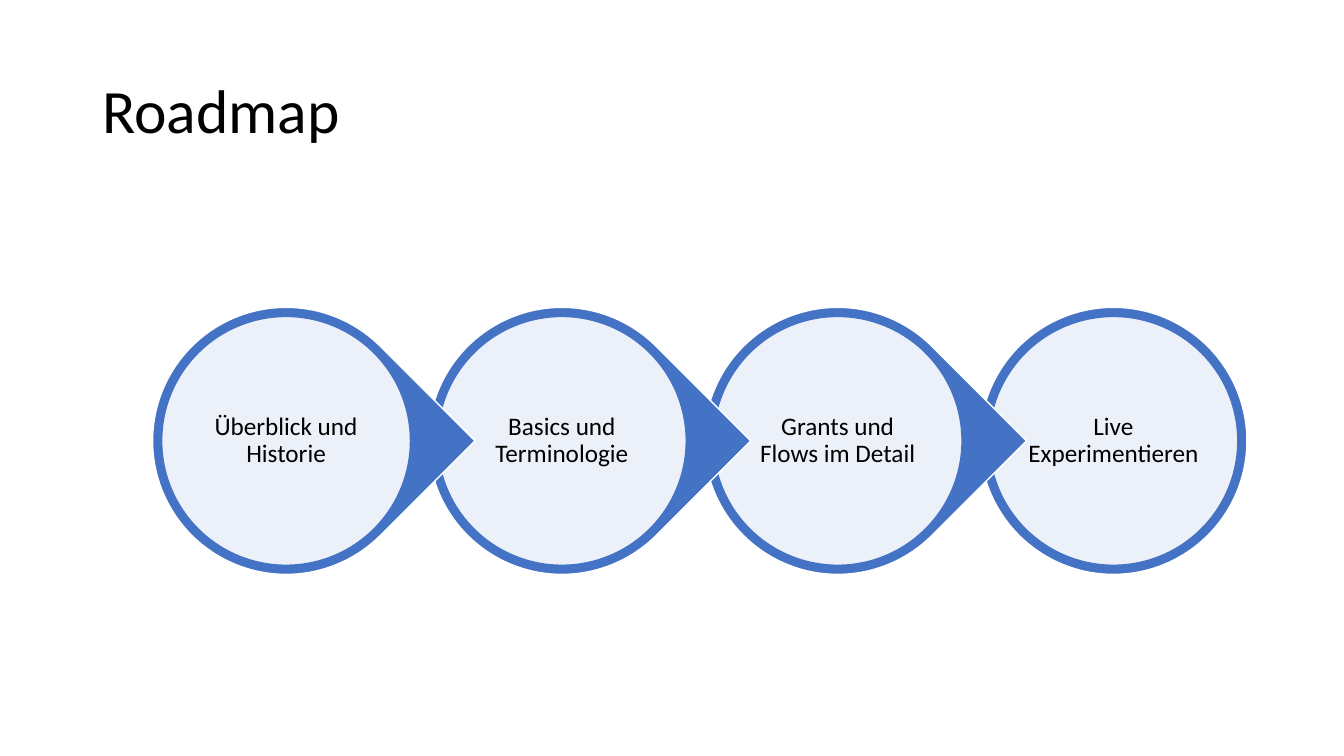
"""Build the Roadmap slide: four overlapping stages in a row."""
from lxml import etree
from pptx import Presentation
from pptx.dml.color import RGBColor
from pptx.enum.shapes import MSO_SHAPE
from pptx.enum.text import MSO_ANCHOR, PP_ALIGN
from pptx.oxml.ns import qn
from pptx.util import Cm, Pt

BLACK = RGBColor(0x00, 0x00, 0x00)
WHITE = RGBColor(0xFF, 0xFF, 0xFF)
BLUE = RGBColor(0x44, 0x72, 0xC4)

ELLIPSE = MSO_SHAPE.OVAL
TEARDROP = MSO_SHAPE.TEAR
MIDDLE = MSO_ANCHOR.MIDDLE
LEFT = PP_ALIGN.LEFT
CENTER = PP_ALIGN.CENTER

FONT = "Calibri"
STAGES = [
    "Überblick und Historie",
    "Basics und Terminologie",
    "Grants und Flows im Detail",
    "Live Experimentieren",
]
FIRST_CENTER = 7.21
STAGE_PITCH = 6.95
CENTER_Y = 11.11
RING_SIZE = 6.73
DISC_SIZE = 6.27
LABEL_SIZE = 4.49


def centered_square(center_x, size):
    """Return left, top, width and height of a square on the stage axis."""
    return Cm(center_x - size / 2), Cm(CENTER_Y - size / 2), Cm(size), Cm(size)


def add_outline(slide, kind, bounds, fill_color, line_color):
    """Add a filled preset shape with a thin line and no shadow."""
    outline = slide.shapes.add_shape(kind, *bounds)
    outline.shadow.inherit = False
    outline.fill.solid()
    outline.fill.fore_color.rgb = fill_color
    outline.line.color.rgb = line_color
    outline.line.width = Pt(1)
    return outline


def set_opacity(shape, percent):
    """Make the solid fill of a shape partly transparent."""
    color = shape._element.spPr.find(qn("a:solidFill")).find(qn("a:srgbClr"))
    etree.SubElement(color, qn("a:alpha")).set("val", str(percent * 1000))


def add_text(slide, bounds, text, size, alignment, margins):
    """Add a vertically centred text box with one paragraph."""
    frame = slide.shapes.add_textbox(*bounds).text_frame
    frame.word_wrap = True
    frame.vertical_anchor = MIDDLE
    frame.margin_left = frame.margin_right = Cm(margins[0])
    frame.margin_top = frame.margin_bottom = Cm(margins[1])
    frame.text = text
    paragraph = frame.paragraphs[0]
    paragraph.alignment = alignment
    paragraph.line_spacing = 0.9
    font = paragraph.runs[0].font
    font.name = FONT
    font.size = Pt(size)
    font.color.rgb = BLACK


def add_stage(slide, index, label):
    """Add one stage, pointing at the next one unless it is the last."""
    center_x = FIRST_CENTER + index * STAGE_PITCH
    is_last = index == len(STAGES) - 1
    ring_kind = ELLIPSE if is_last else TEARDROP
    ring = add_outline(slide, ring_kind, centered_square(center_x, RING_SIZE), BLUE, WHITE)
    if not is_last:
        ring.adjustments[0] = 1
        ring.rotation = 45
    disc = add_outline(slide, ELLIPSE, centered_square(center_x, DISC_SIZE), WHITE, BLUE)
    set_opacity(disc, 90)
    add_text(slide, centered_square(center_x, LABEL_SIZE), label, 18, CENTER, (0.08, 0.08))


def main():
    """Create the presentation and save it."""
    presentation = Presentation()
    presentation.slide_width = Cm(33.87)
    presentation.slide_height = Cm(19.05)
    slide = presentation.slides.add_slide(presentation.slide_layouts[6])
    title_bounds = (Cm(2.33), Cm(1.01), Cm(29.21), Cm(3.68))
    add_text(slide, title_bounds, "Roadmap", 44, LEFT, (0.25, 0.13))
    for index, label in reversed(list(enumerate(STAGES))):
        add_stage(slide, index, label)
    presentation.save("out.pptx")


if __name__ == "__main__":
    main()
